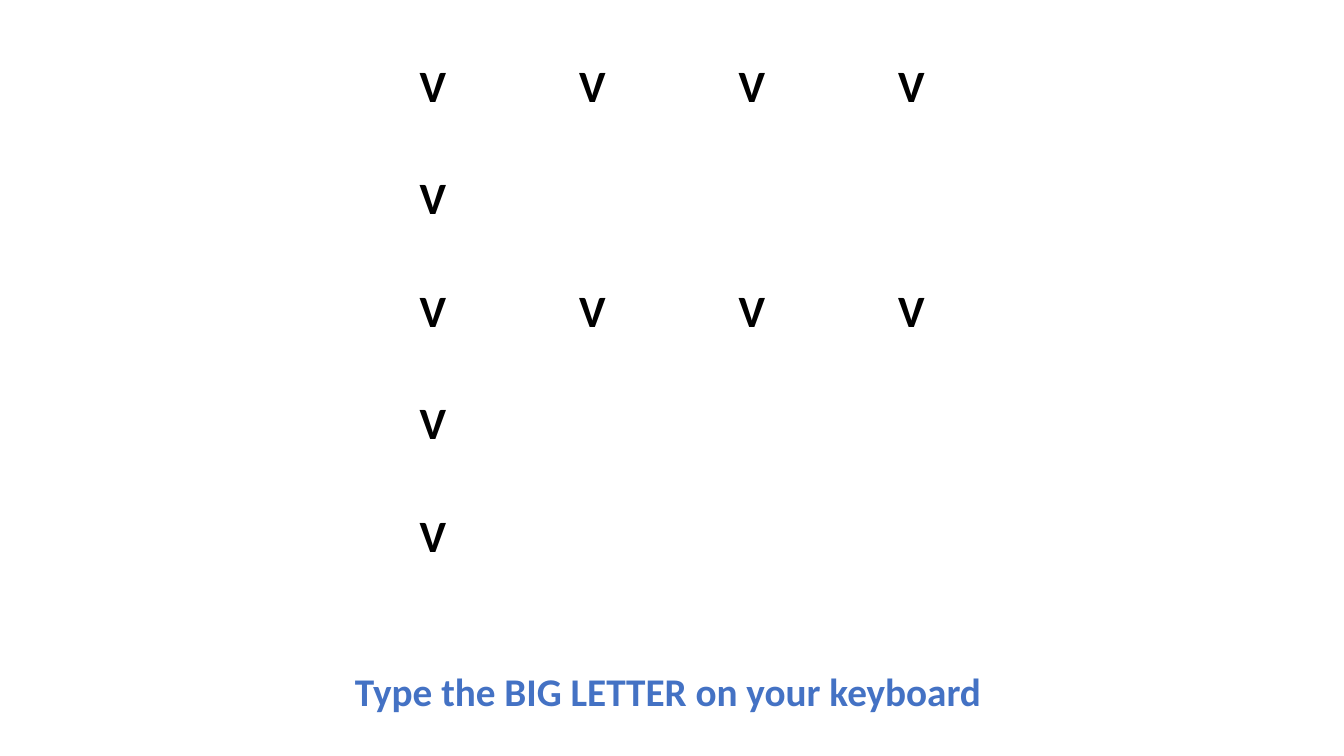
from pptx import Presentation
from pptx.dml.color import RGBColor
from pptx.enum.text import MSO_ANCHOR, MSO_AUTO_SIZE, PP_ALIGN
from pptx.util import Emu, Inches, Pt


def px(n):
    return Emu(round(n * 914400 / 100.8))


def color(value):
    return RGBColor.from_string(value)


class SlideBuilder:
    font = "Calibri"
    ink = "000000"
    accent = "4472C4"

    def __init__(self, prs):
        self.s = prs.slides.add_slide(prs.slide_layouts[6])

    def style(self, p, size, ink):
        p.font.name = self.font
        p.font.size = Pt(size)
        p.font.bold = True
        p.font.color.rgb = color(ink)

    def letter_grid(self, pattern, x, y, w, h):
        frame = self.s.shapes.add_table(
            len(pattern), len(pattern[0]), px(x), px(y), px(w), px(h))
        table = frame.table
        table.first_row = False
        table.horz_banding = False
        for row, letters in zip(table.rows, pattern):
            for cell, letter in zip(row.cells, letters):
                cell.fill.background()
                cell.margin_left = cell.margin_right = px(7)
                cell.margin_top = cell.margin_bottom = 0
                cell.vertical_anchor = MSO_ANCHOR.TOP
                if letter == ".":
                    continue
                p = cell.text_frame.paragraphs[0]
                p.text = letter
                p.alignment = PP_ALIGN.CENTER
                p.line_spacing = 1.07
                self.style(p, 32, self.ink)

    def caption(self, text, x, y, w, h):
        sp = self.s.shapes.add_textbox(px(x), px(y), px(w), px(h))
        tf = sp.text_frame
        tf.word_wrap = False
        tf.auto_size = MSO_AUTO_SIZE.SHAPE_TO_FIT_TEXT
        p = tf.paragraphs[0]
        p.text = text
        self.style(p, 28, self.accent)


def main():
    prs = Presentation()
    prs.slide_width = Inches(13.33)
    prs.slide_height = Inches(7.5)
    slide = SlideBuilder(prs)
    slide.letter_grid(["VVVV", "V...", "VVVV", "V...", "V..."],
                      353, 56, 638, 562)
    slide.caption("Type the BIG LETTER on your keyboard", 345, 662, 653, 57)
    prs.save("out.pptx")


if __name__ == "__main__":
    main()
